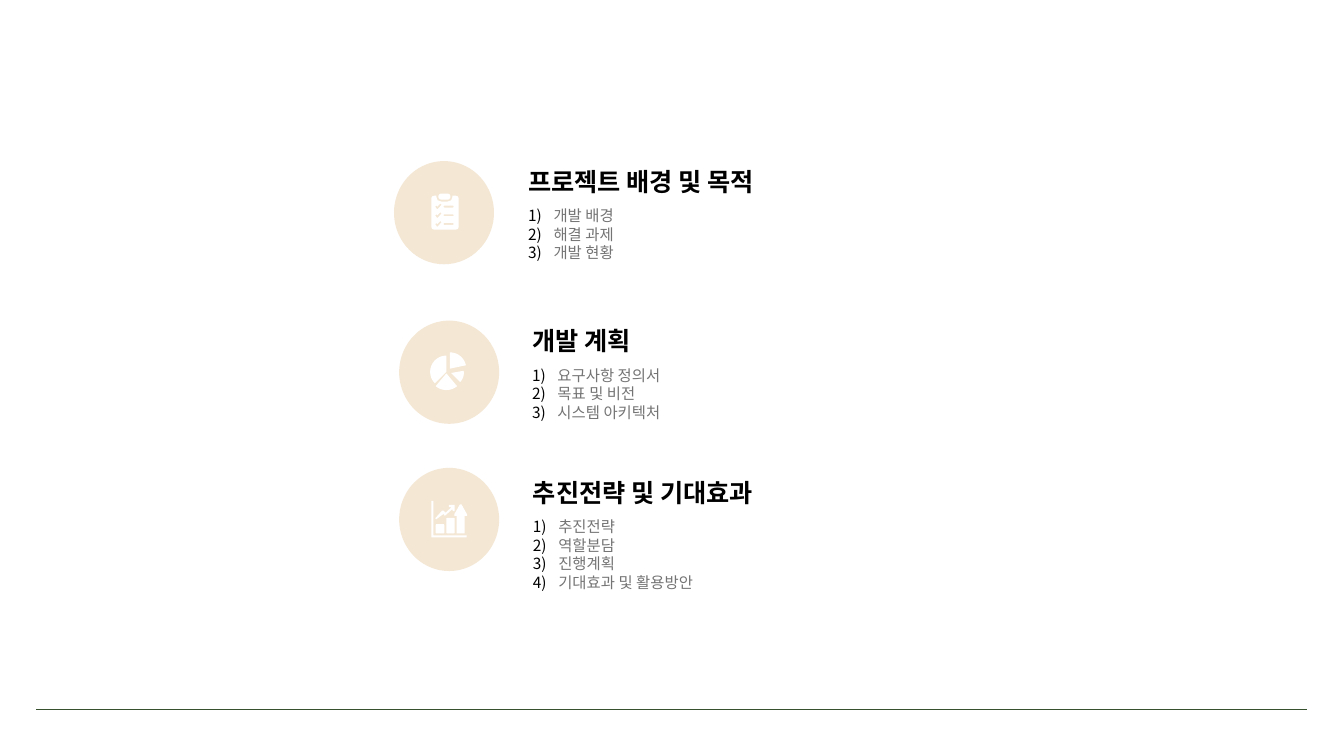
from math import cos, radians, sin

from lxml import etree
from pptx import Presentation
from pptx import util as u
from pptx.dml.color import RGBColor
from pptx.enum import shapes, text
from pptx.oxml.ns import qn

BLACK = RGBColor(0x00, 0x00, 0x00)
GREY = RGBColor(0x74, 0x74, 0x74)
CREAM = RGBColor(0xF4, 0xE7, 0xD4)
WHITE = RGBColor(0xFF, 0xFF, 0xFF)
DARK_GREEN = RGBColor(0x37, 0x51, 0x2F)


def arc(x, y, radius, start, end, steps=12):
    angles = [radians(start + (end - start) * i / steps) for i in range(steps + 1)]
    return [(x + radius * cos(a), y + radius * sin(a)) for a in angles]


def sector(x, y, radius, start, end):
    return [(x, y)] + arc(x, y, radius, start, end)


def rounded(left, top, right, bottom, radius):
    corners = [
        (left + radius, top + radius, 180),
        (right - radius, top + radius, 270),
        (right - radius, bottom - radius, 0),
        (left + radius, bottom - radius, 90),
    ]
    return [p for x, y, a in corners for p in arc(x, y, radius, a, a + 90, 6)]


def clipboard():
    clip = rounded(11.05, 4.88, 11.35, 5.03, 0.07)
    board = [
        (10.95, 4.93), (11.0, 4.93), (11.0, 4.97), (11.03, 5.05), (11.12, 5.08),
        (11.28, 5.08), (11.37, 5.05), (11.4, 4.97), (11.4, 4.93), (11.48, 4.93),
        (11.54, 4.95), (11.56, 5.0), (11.56, 5.72), (11.54, 5.77), (11.48, 5.79),
        (10.95, 5.79), (10.89, 5.77), (10.87, 5.72), (10.87, 5.0), (10.89, 4.95),
    ]
    tick = [(10.97, 5.21), (11.0, 5.18), (11.02, 5.21),
            (11.1, 5.13), (11.13, 5.16), (11.02, 5.28)]
    dash = rounded(11.18, 5.18, 11.43, 5.23, 0.02)
    holes = [[(x, y + 0.22 * row) for x, y in reversed(mark)]
             for row in range(3) for mark in (tick, dash)]
    return [[clip], [board] + holes]


def pie():
    return [
        [sector(11.34, 9.29, 0.41, -90, -12)],
        [sector(11.25, 9.41, 0.42, 50, 130)],
        [sector(11.37, 9.4, 0.32, -10, 45)],
        [sector(11.25, 9.37, 0.41, 135, 270)],
    ]


def growth():
    trend = [
        (10.99, 13.09), (11.18, 12.95), (11.21, 13.0), (11.4, 12.83), (11.41, 12.88),
        (11.46, 12.88), (11.46, 12.72), (11.31, 12.72), (11.31, 12.78), (11.38, 12.78),
        (11.23, 12.92), (11.18, 12.87), (11.14, 12.87), (10.97, 13.06),
    ]
    rise = [
        (11.45, 13.0), (11.51, 13.0), (11.51, 13.44), (11.71, 13.44), (11.71, 13.0),
        (11.77, 13.0), (11.77, 12.96), (11.63, 12.71), (11.59, 12.71), (11.45, 12.96),
    ]
    axes = [(10.87, 12.62), (10.92, 12.62), (10.92, 13.49),
            (11.76, 13.49), (11.76, 13.54), (10.87, 13.54)]
    low_bar = rounded(10.98, 13.21, 11.2, 13.44, 0.02)
    high_bar = rounded(11.25, 13.05, 11.46, 13.44, 0.02)
    return [[trend], [low_bar], [high_bar], [rise], [axes]]


class Agenda:
    font = "Arial"
    title_size = u.Pt(18)
    item_size = u.Pt(11)
    indent = u.Cm(0.64)
    units_per_cm = 1000

    def __init__(self, slide):
        self.slide = slide

    def rule(self, left, right, y):
        line = self.slide.shapes.add_connector(
            shapes.MSO_CONNECTOR.STRAIGHT, u.Cm(left), u.Cm(y), u.Cm(right), u.Cm(y))
        line.line.color.rgb = DARK_GREEN
        line.line.width = u.Pt(0.75)
        etree.SubElement(line._element.spPr, qn("a:effectLst"))

    def paint(self, shape, color):
        shape.shadow.inherit = False
        shape.fill.solid()
        shape.fill.fore_color.rgb = color
        shape.line.fill.background()

    def disc(self, group, left, top):
        disc = group.shapes.add_shape(
            shapes.MSO_SHAPE.OVAL, u.Cm(left), u.Cm(top), u.Cm(2.52), u.Cm(2.6))
        self.paint(disc, CREAM)

    def outline(self, group, contours):
        scaled = [[(x * self.units_per_cm, y * self.units_per_cm) for x, y in c]
                  for c in contours]
        builder = group.shapes.build_freeform(
            *scaled[0][0], scale=u.Cm(1) / self.units_per_cm)
        builder.add_line_segments(scaled[0][1:], close=True)
        for hole in scaled[1:]:
            builder.move_to(*hole[0])
            builder.add_line_segments(hole[1:], close=True)
        self.paint(builder.convert_to_shape(), WHITE)

    def number(self, paragraph):
        props = paragraph._p.get_or_add_pPr()
        props.set("marL", str(self.indent))
        props.set("indent", str(-self.indent))
        color = etree.SubElement(props, qn("a:buClr"))
        etree.SubElement(color, qn("a:srgbClr"), val=str(BLACK))
        etree.SubElement(props, qn("a:buAutoNum"), type="arabicParenR")

    def words(self, group, left, top, height, lines, size, color, bold=False, numbered=False):
        box = group.shapes.add_textbox(u.Cm(left), u.Cm(top), u.Cm(10.94), u.Cm(height))
        frame = box.text_frame
        frame.word_wrap = True
        frame.auto_size = text.MSO_AUTO_SIZE.SHAPE_TO_FIT_TEXT
        frame.text = "\n".join(lines)
        for paragraph in frame.paragraphs:
            if numbered:
                self.number(paragraph)
            paragraph.font.name = self.font
            paragraph.font.size = size
            paragraph.font.bold = bold
            paragraph.font.color.rgb = color

    def section(self, disc_at, icon, text_at, list_height, title, items):
        group = self.slide.shapes.add_group_shape()
        self.disc(group, *disc_at)
        for contours in icon:
            self.outline(group, contours)
        left, top = text_at
        self.words(group, left, top + 1.01, list_height, items,
                   self.item_size, GREY, numbered=True)
        self.words(group, left, top, 1.02, [title], self.title_size, BLACK, bold=True)


def main():
    deck = Presentation()
    deck.slide_width, deck.slide_height = u.Cm(33.87), u.Cm(19.05)
    agenda = Agenda(deck.slides.add_slide(deck.slide_layouts[6]))
    agenda.rule(0.91, 32.94, 17.88)
    agenda.section((9.93, 4.06), clipboard(), (13.06, 4.06), 1.68,
                   "프로젝트 배경 및 목적", ["개발 배경", "해결 과제", "개발 현황"])
    agenda.section((10.06, 8.08), pie(), (13.16, 8.08), 2.13,
                   "개발 계획", ["요구사항 정의서", "목표 및 비전", "시스템 아키텍처"])
    agenda.section((10.06, 11.79), growth(), (13.18, 11.9), 2.13,
                   "추진전략 및 기대효과",
                   ["추진전략", "역할분담", "진행계획", "기대효과 및 활용방안"])
    deck.save("out.pptx")


if __name__ == "__main__":
    main()
